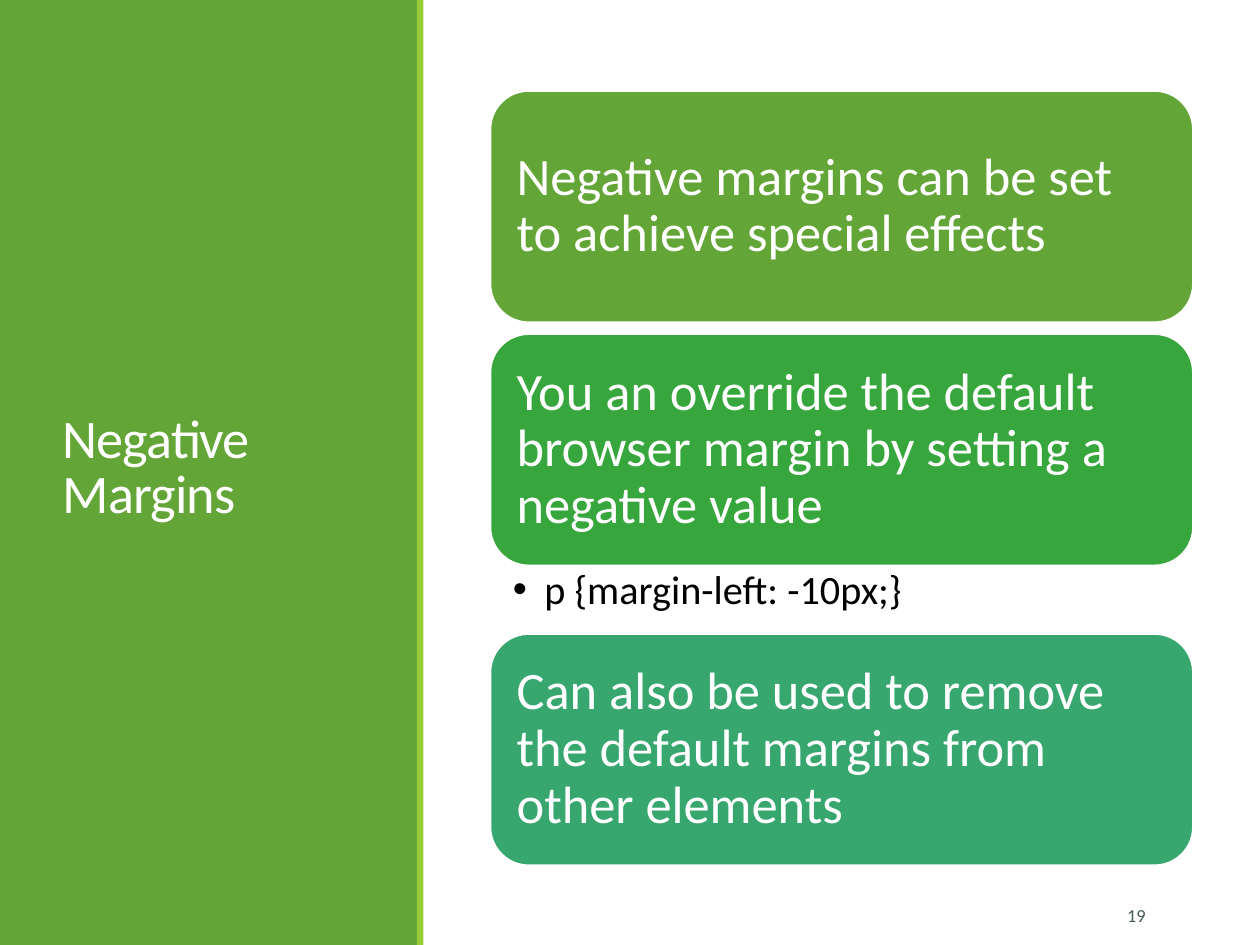
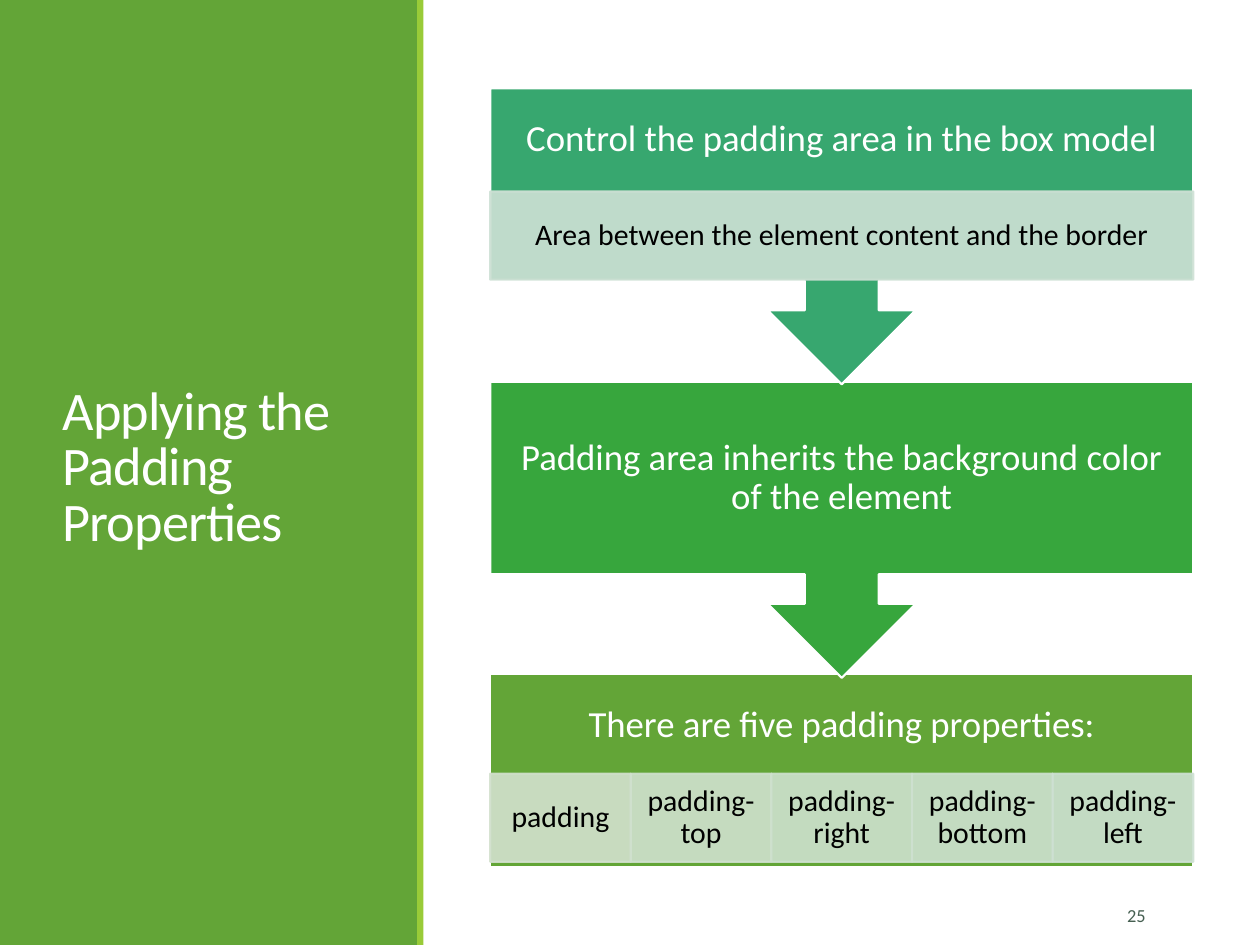
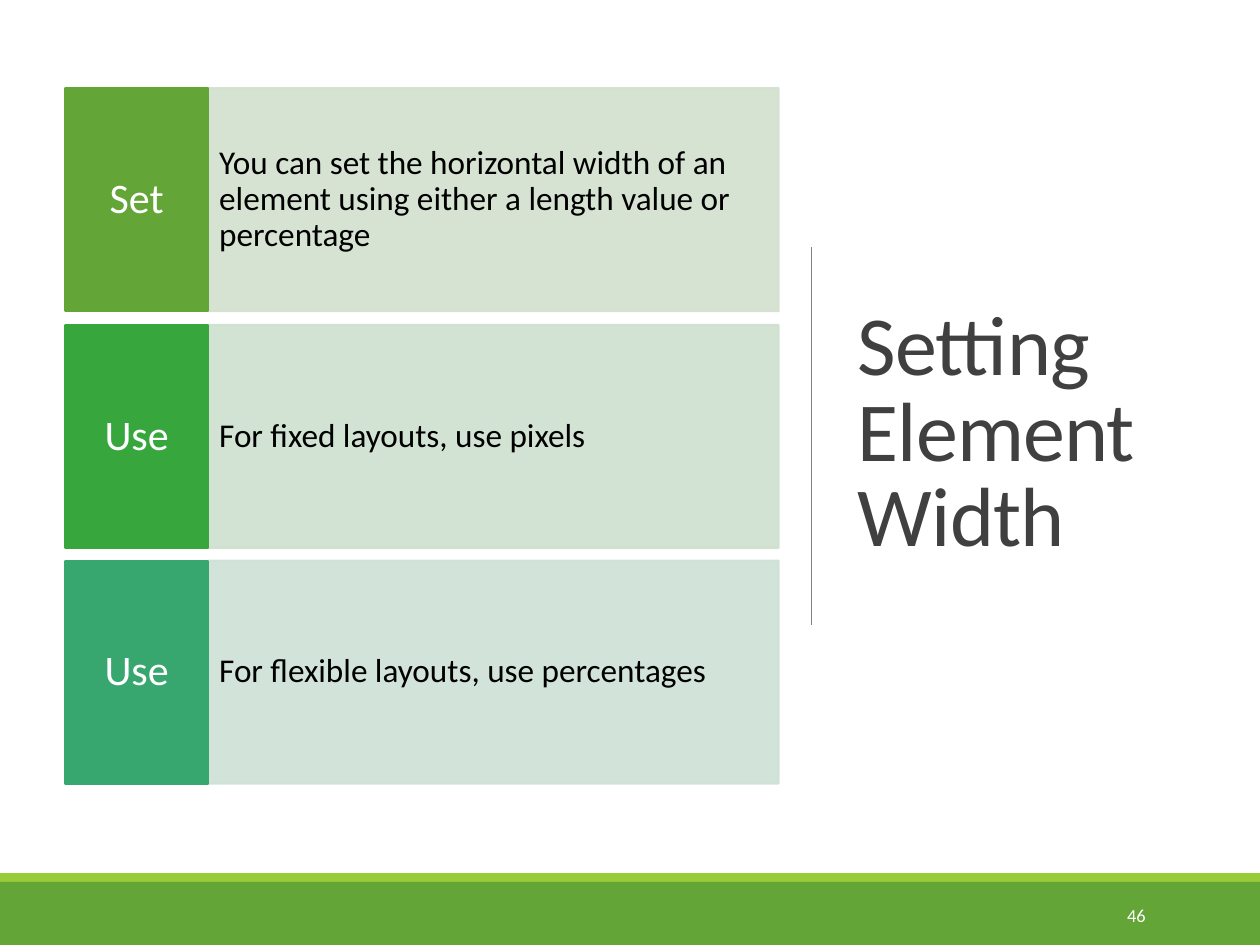
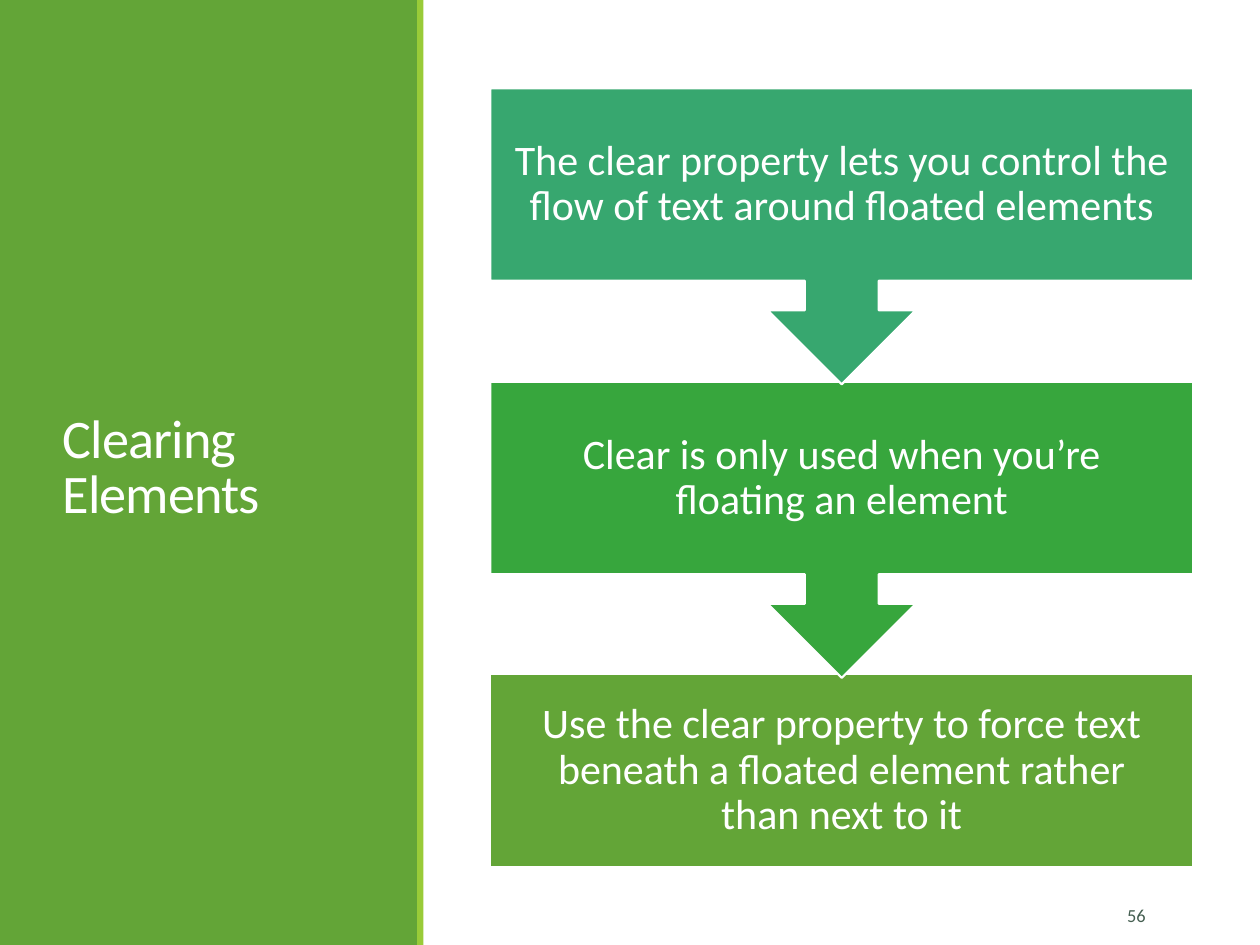
from lxml import etree
from pptx import Presentation
from pptx.dml.color import RGBColor
from pptx.enum.shapes import MSO_CONNECTOR, MSO_SHAPE
from pptx.enum.text import MSO_ANCHOR, PP_ALIGN
from pptx.oxml.ns import qn
from pptx.util import Emu, Pt

RECT = MSO_SHAPE.RECTANGLE
ROUNDED = MSO_SHAPE.ROUNDED_RECTANGLE
CALLOUT = MSO_SHAPE.UP_ARROW_CALLOUT
STRAIGHT = MSO_CONNECTOR.STRAIGHT
LEFT, CENTER, RIGHT = PP_ALIGN.LEFT, PP_ALIGN.CENTER, PP_ALIGN.RIGHT
TOP, MIDDLE = MSO_ANCHOR.TOP, MSO_ANCHOR.MIDDLE

PX = 9144
WIDTH, HEIGHT = 1000, 750
FONT = "Calibri"
WHITE, BLACK = "FFFFFF", "000000"
GREEN, LIME, EMERALD, TEAL = "63A537", "99CB38", "37A63D", "37A76F"
SLATE, CHARCOAL, GRAY = "455F51", "404040", "808080"
BODY_LEFT, BODY_WIDTH = 389, 558

MARGINS = {
    "title": "Negative Margins",
    "page": "19",
    "points": [
        (72, GREEN, "Negative margins can be set to achieve special effects"),
        (265, EMERALD, "You an override the default browser margin by setting a negative value"),
        (503, TEAL, "Can also be used to remove the default margins from other elements"),
    ],
    "code": "p {margin-left: -10px;}",
}
PADDING = {
    "title": "Applying the Padding Properties",
    "page": "25",
    "size": 21,
    "inset": 16,
    "steps": [
        (70, TEAL, "Control the padding area in the box model", 152,
         [("Area between the element content and the border", "CEE1D5")]),
        (303, EMERALD, "Padding area inherits the background color of the element", 0, []),
        (535, GREEN, "There are five padding properties:", 614,
         [("padding", "D3E1CE"), ("padding-top", "D0E1CE"), ("padding-right", "CEE1CE"),
          ("padding-bottom", "CEE1D0"), ("padding-left", "CEE1D3")]),
    ],
}
WIDTHS = {
    "title": "Setting Element Width",
    "page": "46",
    "rows": [
        (70, "Set", GREEN, "D3E1CE",
         "You can set the horizontal width of an element using either a length value or percentage"),
        (258, "Use", EMERALD, "CEE1CF", "For fixed layouts, use pixels"),
        (445, "Use", TEAL, "CEE1D5", "For flexible layouts, use percentages"),
    ],
}
CLEARING = {
    "title": "Clearing Elements",
    "page": "56",
    "size": 24,
    "inset": 19,
    "steps": [
        (70, TEAL, "The clear property lets you control the flow of text around floated elements", 0, []),
        (303, EMERALD, "Clear is only used when you’re floating an element", 0, []),
        (535, GREEN, "Use the clear property to force text beneath a floated element rather than next to it", 0, []),
    ],
}


def emu(*lengths):
    return [Emu(round(length * PX)) for length in lengths]


def rgb(color):
    return RGBColor.from_string(color)


def set_alpha(shape, percent):
    for color in shape._element.spPr.iter(qn("a:srgbClr")):
        etree.SubElement(color, qn("a:alpha")).set("val", str(percent * 1000))


def add_block(slide, kind, box, fill, line=None, alpha=None):
    block = slide.shapes.add_shape(kind, *emu(*box))
    block.shadow.inherit = False
    block.fill.solid()
    block.fill.fore_color.rgb = rgb(fill)
    if line:
        block.line.color.rgb = rgb(line)
        block.line.width = Pt(1.25)
    else:
        block.line.fill.background()
    if alpha:
        set_alpha(block, alpha)
    return block


def write(shape, text, size, color, align=LEFT, anchor=MIDDLE, insets=(10, 5, 10, 5),
          spacing=0.9, tracking=None, bullet=False):
    frame = shape.text_frame
    frame.word_wrap = True
    frame.vertical_anchor = anchor
    frame.margin_left, frame.margin_top, frame.margin_right, frame.margin_bottom = emu(*insets)
    frame.text = text
    paragraph = frame.paragraphs[0]
    paragraph.alignment = align
    paragraph.line_spacing = spacing
    if bullet:
        properties = paragraph._p.get_or_add_pPr()
        indent = emu(25)[0]
        properties.set("marL", str(indent))
        properties.set("indent", str(-indent))
        etree.SubElement(properties, qn("a:buFont")).set("typeface", "Arial")
        etree.SubElement(properties, qn("a:buChar")).set("char", "•")
    run = paragraph.runs[0]
    run.font.name = FONT
    run.font.size = Pt(size)
    run.font.color.rgb = rgb(color)
    if tracking:
        run._r.get_or_add_rPr().set("spc", str(tracking))


def add_label(slide, box, text, size, color, **style):
    write(slide.shapes.add_textbox(*emu(*box)), text, size, color, **style)


def add_title(slide, box, text, size, color):
    add_label(slide, box, text, size, color, spacing=0.85, tracking=-50)


def add_page(slide, page, color):
    add_label(slide, (830, 706, 89, 40), page, 10.5, color, align=RIGHT, spacing=1)


def new_slide(deck):
    return deck.slides.add_slide(deck.slide_layouts[6])


def sidebar_slide(deck, content):
    slide = new_slide(deck)
    add_block(slide, RECT, (0, 0, 332, HEIGHT), GREEN)
    add_title(slide, (40, 57, 253, 631), content["title"], 31, WHITE)
    add_block(slide, RECT, (331, 0, 5, HEIGHT), LIME)
    add_page(slide, content["page"], SLATE)
    return slide


def points_slide(deck, content):
    slide = sidebar_slide(deck, content)
    for top, color, text in content["points"]:
        point = add_block(slide, ROUNDED, (BODY_LEFT, top, BODY_WIDTH, 184), color, WHITE)
        write(point, text, 30, WHITE, insets=(12,) * 4)
    add_label(slide, (BODY_LEFT, 448, BODY_WIDTH, 54), content["code"], 23, BLACK,
              anchor=TOP, insets=(18, 4, 23, 4), bullet=True)


def steps_slide(deck, content):
    slide = sidebar_slide(deck, content)
    last_top = content["steps"][-1][0]
    for top, color, text, detail_top, details in reversed(content["steps"]):
        if top == last_top:
            add_block(slide, RECT, (BODY_LEFT, top, BODY_WIDTH, 153), color, WHITE)
        else:
            step = add_block(slide, CALLOUT, (BODY_LEFT, top, BODY_WIDTH, 235), color, WHITE)
            step.rotation = 180
        text_height = 82 if details else 153
        add_label(slide, (BODY_LEFT, top, BODY_WIDTH, text_height), text, content["size"], WHITE,
                  align=CENTER, insets=(content["inset"],) * 4)
        for index, (detail, tint) in enumerate(details):
            width = BODY_WIDTH / len(details)
            cell = add_block(slide, RECT, (BODY_LEFT + index * width, detail_top, width, 70),
                             tint, tint, 90)
            write(cell, detail, 17, BLACK, align=CENTER, insets=(13, 2, 13, 2))


def rows_slide(deck, content):
    slide = new_slide(deck)
    add_title(slide, (671, 69, 277, 553), content["title"], 48, CHARCOAL)
    divider = slide.shapes.add_connector(STRAIGHT, *emu(644, 196, 644, 496))
    divider.line.color.rgb = rgb(GRAY)
    divider.line.width = Pt(0.5)
    etree.SubElement(divider._element.spPr, qn("a:effectLst"))
    add_block(slide, RECT, (0, 693, WIDTH, 7), LIME)
    add_block(slide, RECT, (0, 700, WIDTH, 50), GREEN)
    add_page(slide, content["page"], WHITE)
    for top, verb, color, tint, text in content["rows"]:
        advice = add_block(slide, RECT, (165, top, 453, 177), tint, tint, 90)
        write(advice, text, 19, BLACK, insets=(9, 45, 9, 45))
        tag = add_block(slide, RECT, (52, top, 113, 177), color, color)
        write(tag, verb, 24, WHITE, align=CENTER, insets=(6, 17, 6, 17))


def main():
    deck = Presentation()
    deck.slide_width, deck.slide_height = emu(WIDTH, HEIGHT)
    points_slide(deck, MARGINS)
    steps_slide(deck, PADDING)
    rows_slide(deck, WIDTHS)
    steps_slide(deck, CLEARING)
    deck.save("out.pptx")


if __name__ == "__main__":
    main()
